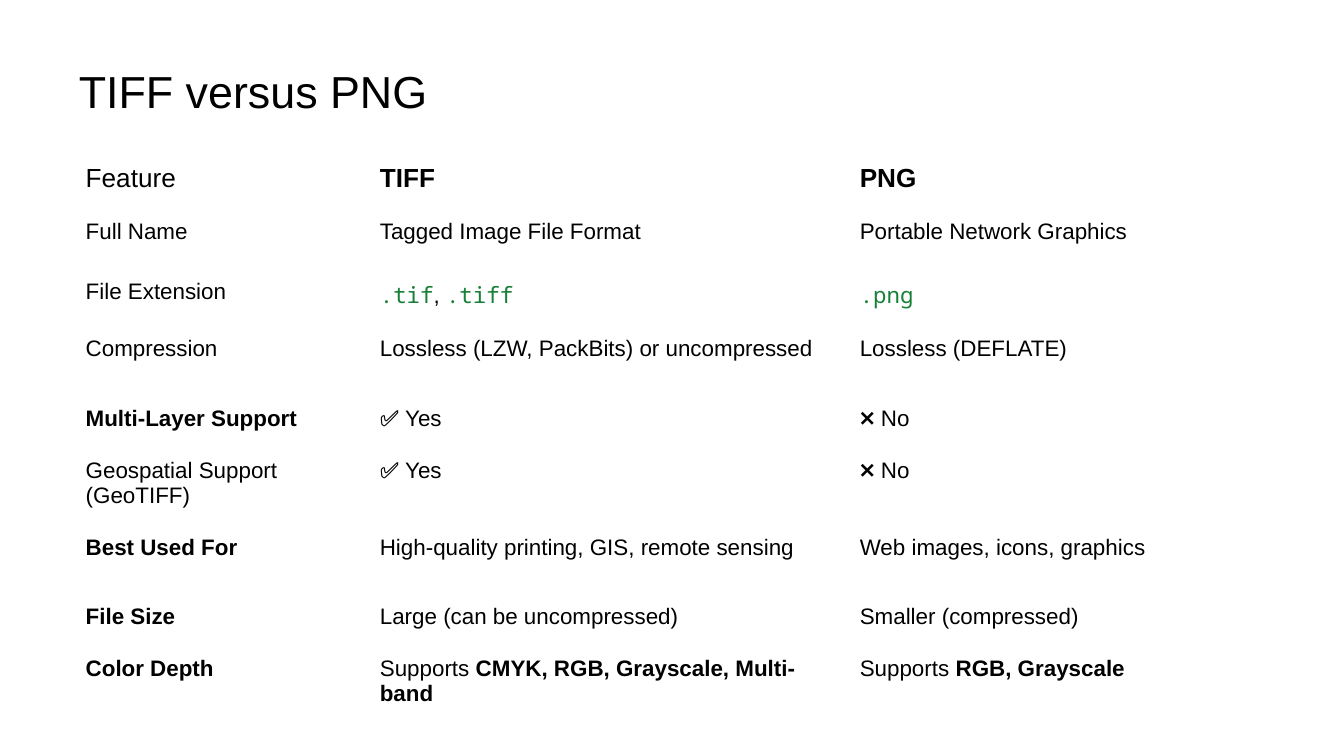
from pptx import Presentation
from pptx.dml.color import RGBColor
from pptx.enum.text import MSO_ANCHOR, MSO_AUTO_SIZE, PP_ALIGN
from pptx.util import Cm, Pt

HUES = {"ink": "000000", "code": "188038"}
SIDES = ("left", "top", "right", "bottom")
WIDTHS = (5.56, 9.07, 6.96)
ROWS = (
    (0.97, "Feature", "*TIFF", "*PNG"),
    (1.14, "Full Name", "Tagged Image File Format", "Portable Network Graphics"),
    (0.91, "File Extension", "`.tif|, |`.tiff", "`.png"),
    (1.32, "Compression", "Lossless (LZW, PackBits) or uncompressed", "Lossless (DEFLATE)"),
    (0.91, "*Multi-Layer Support", "✅ Yes", "❌ No"),
    (1.35, "Geospatial Support (GeoTIFF)", "✅ Yes", "❌ No"),
    (1.32, "*Best Used For", "High-quality printing, GIS, remote sensing", "Web images, icons, graphics"),
    (0.91, "*File Size", "Large (can be uncompressed)", "Smaller (compressed)"),
    (0.91, "*Color Depth", "Supports |*CMYK, RGB, Grayscale, Multi-band", "Supports |*RGB, Grayscale"),
)


def apply(item, form):
    """Set each value of a format dict on an object."""
    for name, value in form.items():
        setattr(item, name, value)


def write(para, text, size):
    """Add runs split at |, where * marks bold and ` marks code."""
    para.alignment = PP_ALIGN.LEFT
    for part in text.split("|"):
        code = part.startswith("`")
        run = para.add_run()
        run.text = part.lstrip("*`")
        apply(run.font, {
            "name": "Noto Sans Mono" if code else "Arial",
            "size": Pt(size),
            "bold": part.startswith("*"),
        })
        run.font.color.rgb = RGBColor.from_string(HUES["code" if code else "ink"])


def add_title(slide, text):
    """Place and fill the title."""
    title = slide.shapes.title
    apply(title, {"left": Cm(1.24), "top": Cm(0.94), "width": Cm(21.62), "height": Cm(1.55)})
    frame = title.text_frame
    apply(frame, {f"margin_{side}": Cm(0.25) for side in SIDES})
    apply(frame, {
        "word_wrap": True,
        "auto_size": MSO_AUTO_SIZE.NONE,
        "vertical_anchor": MSO_ANCHOR.MIDDLE,
    })
    write(frame.paragraphs[0], text, 24)


def add_grid(slide):
    """Add the plain comparison table."""
    tall = sum(row[0] for row in ROWS)
    table = slide.shapes.add_table(
        len(ROWS), len(WIDTHS), Cm(1.37), Cm(2.84), Cm(sum(WIDTHS)), Cm(tall)
    ).table
    apply(table, {"first_row": False, "horz_banding": False})
    for column, width in zip(table.columns, WIDTHS):
        column.width = Cm(width)
    for index, (height, *texts) in enumerate(ROWS):
        table.rows[index].height = Cm(height)
        for cell, text in zip(table.rows[index].cells, texts):
            apply(cell, {f"margin_{side}": Cm(0.25) for side in SIDES})
            cell.vertical_anchor = MSO_ANCHOR.TOP
            cell.fill.background()
            write(cell.text_frame.paragraphs[0], text, 12 if index else 14)


def main():
    """Build and save the slide."""
    deck = Presentation()
    apply(deck, {"slide_width": Cm(25.4), "slide_height": Cm(14.29)})
    slide = deck.slides.add_slide(deck.slide_layouts[5])
    add_title(slide, "TIFF versus PNG")
    add_grid(slide)
    deck.save("out.pptx")


if __name__ == "__main__":
    main()
